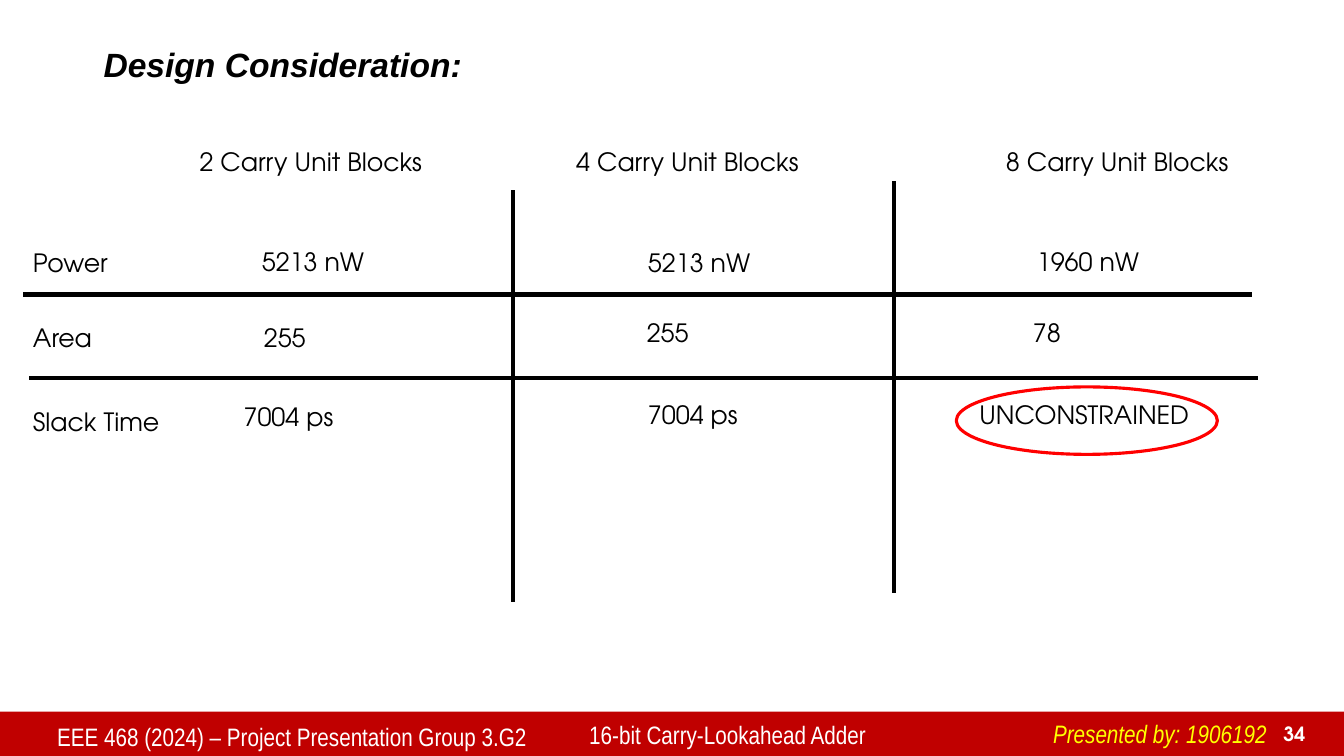
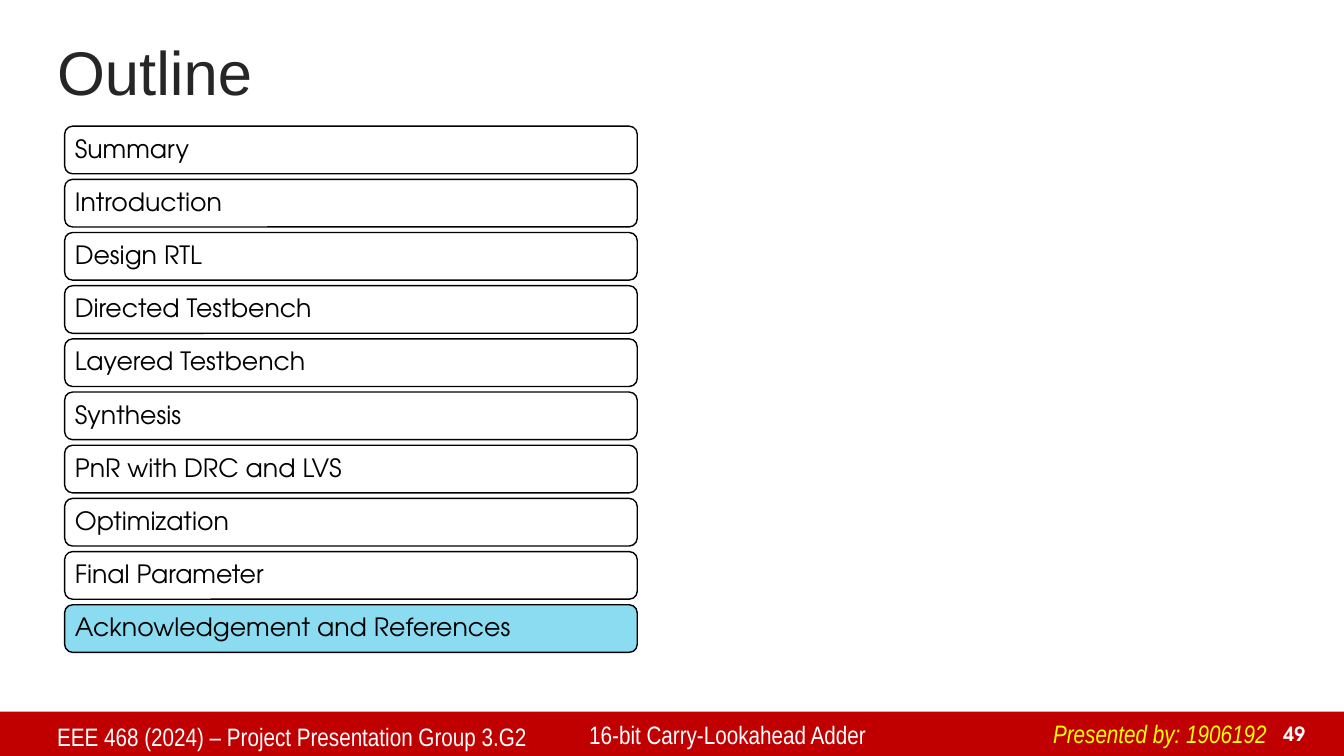
import pptx
import pptx.util
import pptx.dml.color
import pptx.enum.shapes
import pptx.enum.text
import pptx.oxml.ns
import lxml.etree

Cm = pptx.util.Cm
Pt = pptx.util.Pt
RGBColor = pptx.dml.color.RGBColor
MSO_SHAPE = pptx.enum.shapes.MSO_SHAPE
ANCHOR = pptx.enum.text.MSO_ANCHOR
ALIGN = pptx.enum.text.PP_ALIGN

BLACK = RGBColor(0x00, 0x00, 0x00)
CHARCOAL = RGBColor(0x26, 0x26, 0x26)
WHITE = RGBColor(0xFF, 0xFF, 0xFF)
BAND_RED = RGBColor(0xC0, 0x00, 0x00)
MARK_RED = RGBColor(0xFF, 0x00, 0x00)
YELLOW = RGBColor(0xFF, 0xFF, 0x00)
CURRENT_BLUE = RGBColor(0x8B, 0xDB, 0xF1)

BODY_FONT = "TeX Gyre Adventor"
TITLE_FONT = "Arial"
FOOTER_FONT = "Arial Narrow"


def write(frame, text, font=BODY_FONT, size=18, color=BLACK, bold=False,
          italic=False, align=ALIGN.LEFT, anchor=ANCHOR.TOP, spacing=None,
          wrap=True):
    """Fill a text frame with one formatted paragraph."""
    frame.word_wrap = wrap
    frame.vertical_anchor = anchor
    paragraph = frame.paragraphs[0]
    paragraph.alignment = align
    paragraph.line_spacing = spacing
    run = paragraph.add_run()
    run.text = text
    run.font.name = font
    run.font.size = Pt(size)
    run.font.bold = bold
    run.font.italic = italic
    run.font.color.rgb = color


def label(slide, text, left, top, width, height=1.02, **text_format):
    """Add a text box, measured in centimetres."""
    box = slide.shapes.add_textbox(Cm(left), Cm(top), Cm(width), Cm(height))
    write(box.text_frame, text, **text_format)


deck = pptx.Presentation()
deck.slide_width = Cm(33.87)
deck.slide_height = Cm(19.05)
blank = deck.slide_layouts[6]
comparison = deck.slides.add_slide(blank)
outline = deck.slides.add_slide(blank)

# Footer band on both slides
for slide, number in ((comparison, "34"), (outline, "49")):
    band = slide.shapes.add_shape(
        MSO_SHAPE.RECTANGLE, 0, Cm(17.93), deck.slide_width, Cm(1.12))
    band.shadow.inherit = False
    band.fill.solid()
    band.fill.fore_color.rgb = BAND_RED
    band.line.fill.background()
    label(slide, number, 31.7, 18.06, 1.45, 0.86, size=14, color=WHITE,
          bold=True, align=ALIGN.RIGHT, anchor=ANCHOR.BOTTOM)
    label(slide, "EEE 468 (2024) – Project Presentation Group 3.G2",
          1.19, 18.06, 13.41, font=FOOTER_FONT, color=WHITE)
    label(slide, "16-bit Carry-Lookahead Adder",
          14.6, 18.01, 10.77, font=FOOTER_FONT, color=WHITE)
    label(slide, "Presented by: 1906192", 26.29, 17.98, 5.97,
          font=FOOTER_FONT, color=YELLOW, italic=True, wrap=False)

# Comparison: title
label(comparison, "Design Consideration:", 2.36, 0.99, 29.21, 1.3,
      font=TITLE_FONT, size=24, bold=True, italic=True)

# Comparison: column and row headings
for blocks, left in ((2, 4.78), (4, 14.27), (8, 25.1)):
    label(comparison, f"{blocks} Carry Unit Blocks", left, 3.56, 7.8)
for measure, top in (("Power", 6.1), ("Area", 8), ("Slack Time", 10.11)):
    label(comparison, measure, 0.58, top, 4.2)

# Comparison: values, row by row
for value, left, top in (
        ("5213 nW", 6.35, 6.07), ("5213 nW", 16.08, 6.1),
        ("1960 nW", 25.88, 6.07),
        ("255", 6.4, 8), ("255", 16.05, 7.87), ("78", 25.78, 7.87),
        ("7004 ps", 5.89, 9.98), ("7004 ps", 16.08, 9.93),
        ("UNCONSTRAINED", 24.43, 9.93)):
    label(comparison, value, left, top, 5.82)

# Comparison: dividing lines
for x1, y1, x2, y2 in (
        (12.93, 4.8, 12.93, 15.16), (22.53, 4.57, 22.53, 14.94),
        (0.58, 7.42, 31.55, 7.42), (0.74, 9.53, 31.7, 9.53)):
    divider = comparison.shapes.add_connector(
        pptx.enum.shapes.MSO_CONNECTOR.STRAIGHT,
        Cm(x1), Cm(y1), Cm(x2), Cm(y2))
    divider.line.color.rgb = BLACK
    divider.line.width = Pt(3)
    lxml.etree.SubElement(
        divider._element.spPr, pptx.oxml.ns.qn("a:effectLst"))

# Comparison: mark around the unconstrained slack
slack_mark = comparison.shapes.add_shape(
    MSO_SHAPE.OVAL, Cm(24.1), Cm(9.75), Cm(6.58), Cm(1.7))
slack_mark.shadow.inherit = False
slack_mark.fill.background()
slack_mark.line.color.rgb = MARK_RED
slack_mark.line.width = Pt(2.25)

# Outline: title
label(outline, "Outline", 1.19, 0.89, 27.94, 2.03, font=TITLE_FONT, size=44,
      color=CHARCOAL, anchor=ANCHOR.MIDDLE, spacing=0.9)

# Outline: sections, the current one tinted
sections = ("Summary", "Introduction", "Design RTL", "Directed Testbench",
            "Layered Testbench", "Synthesis", "PnR with DRC and LVS",
            "Optimization", "Final Parameter",
            "Acknowledgement and References")
current_section = sections[-1]
FIRST_TOP, PITCH = 3.18, 1.34
for index, section in enumerate(sections):
    bar = outline.shapes.add_shape(
        MSO_SHAPE.ROUNDED_RECTANGLE,
        Cm(1.63), Cm(FIRST_TOP + index * PITCH), Cm(14.43), Cm(1.2))
    bar.shadow.inherit = False
    bar.fill.solid()
    bar.fill.fore_color.rgb = (
        CURRENT_BLUE if section == current_section else WHITE)
    bar.line.color.rgb = BLACK
    bar.line.width = Pt(1)
    frame = bar.text_frame
    frame.margin_left = frame.margin_right = Cm(0.2)
    frame.margin_top = frame.margin_bottom = Cm(0.1)
    write(frame, section, anchor=ANCHOR.MIDDLE, spacing=0.9)

deck.save("out.pptx")
